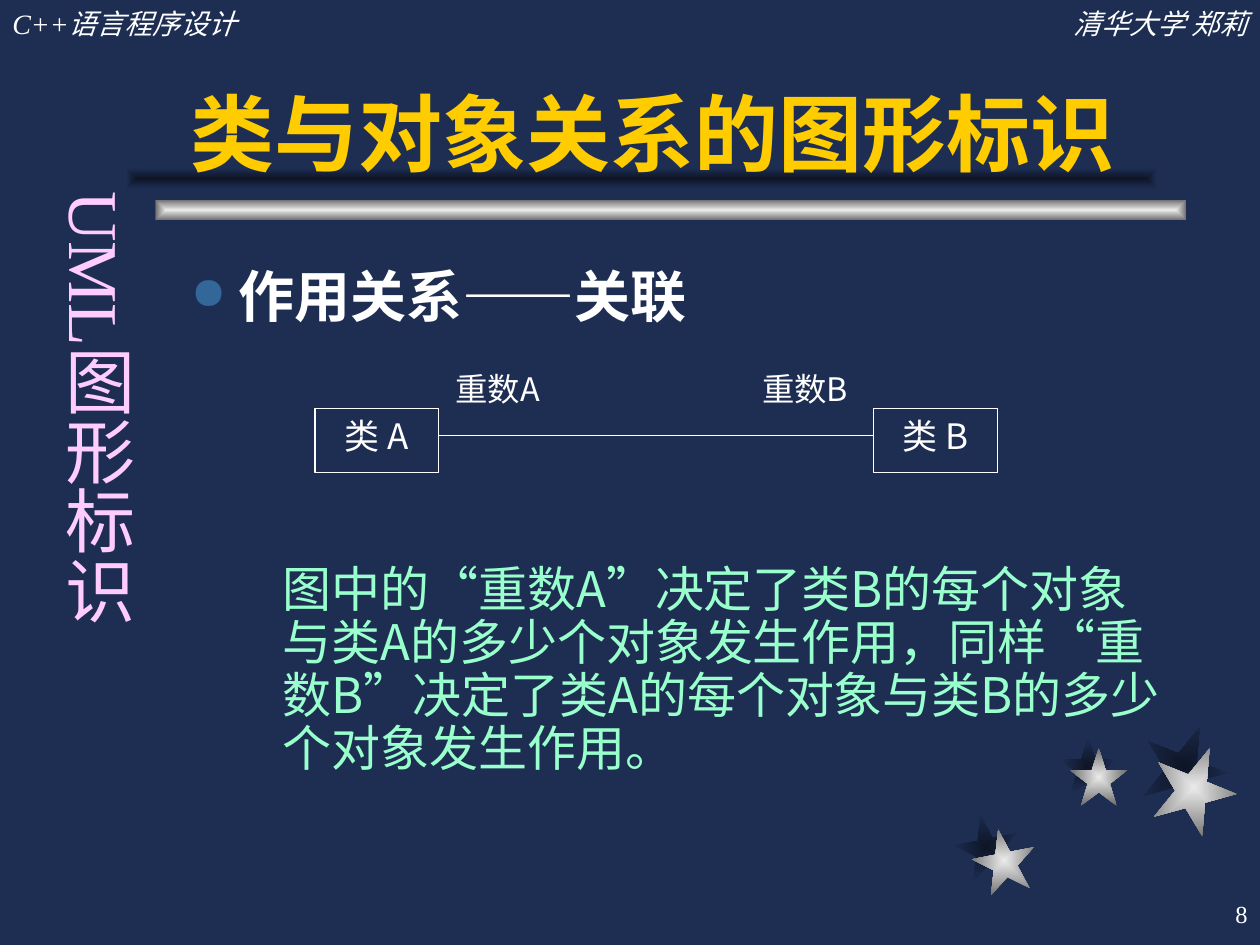
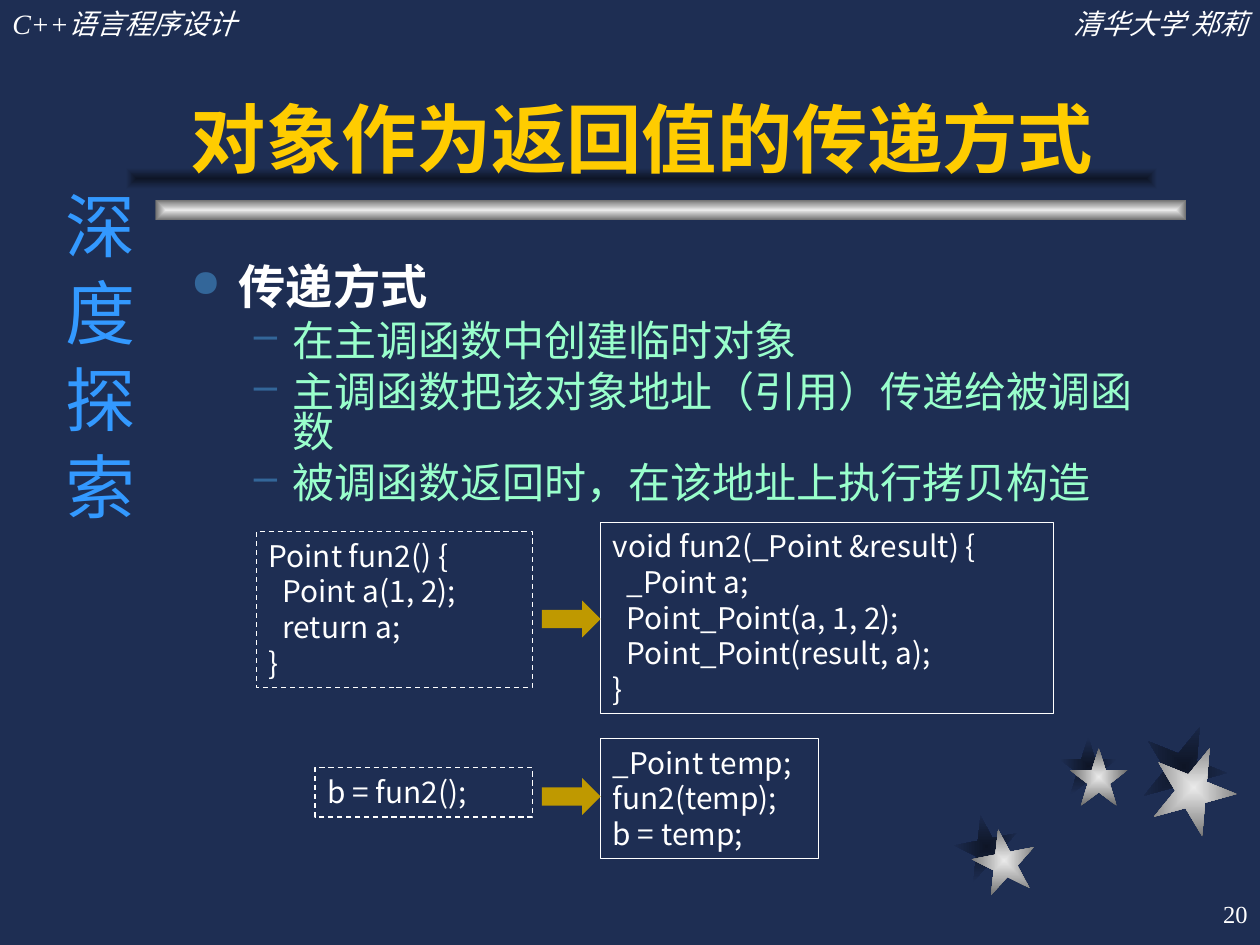
from dataclasses import dataclass

from lxml.etree import SubElement
from pptx import Presentation
from pptx.dml.color import RGBColor
from pptx.enum.dml import MSO_LINE
from pptx.enum.shapes import MSO_CONNECTOR, MSO_SHAPE
from pptx.enum.text import MSO_ANCHOR, PP_ALIGN
from pptx.oxml.ns import qn
from pptx.util import Inches, Pt


@dataclass(frozen=True)
class Theme:
    navy: str = "1E2E53"
    night: str = "0E1526"
    silver: str = "EAEAEA"
    grey: str = "6C6C6C"
    white: str = "FFFFFF"
    gold: str = "FFCC00"
    mint: str = "99FFCC"
    mark: str = "336699"
    arrow: str = "BF9900"
    pink: str = "FFCCFF"
    blue: str = "3399FF"
    sans: str = "Arial"
    serif: str = "Times New Roman"
    hans: str = "Noto Sans CJK SC"
    side: float = 40
    band: float = 16
    page: float = 14
    name: float = 20
    count: float = 18.5
    code: float = 17


T = Theme()
RGB = RGBColor.from_string

deck = Presentation()
deck.slide_width, deck.slide_height = Inches(10), Inches(7.5)
CELL = deck.slide_width / 120  # grid of 120 columns by 90 rows


def grid(*cells):
    return [round(n * CELL) for n in cells]


def put(slide, text, area, size=18, color=T.white, font=T.hans, bold=False,
        italic=False, align=PP_ALIGN.LEFT, anchor=MSO_ANCHOR.TOP, lead=None,
        before=0, left=0, hang=0, bullet=None, scale=100, edge=None,
        dash=False, upright=False):
    """Add a text box, outlined if edge is set; a line may be (text, overrides)."""
    if edge:
        box = slide.shapes.add_shape(MSO_SHAPE.RECTANGLE, *grid(*area))
        box.shadow.inherit = False
        box.fill.background()
        box.line.color.rgb = RGB(T.white)
        box.line.width = Pt(edge)
        if dash:
            box.line.dash_style = MSO_LINE.DASH
    else:
        box = slide.shapes.add_textbox(*grid(*area))
    frame = box.text_frame
    frame.word_wrap = True
    frame.vertical_anchor = anchor
    if upright:
        frame._txBody.bodyPr.set("vert", "eaVert")
        frame.margin_left = frame.margin_right = Inches(0.05)
        frame.margin_top = frame.margin_bottom = Inches(0.1)
    base = dict(size=size, color=color, bold=bold, lead=lead, before=before,
                left=left, hang=hang, bullet=bullet, scale=scale)
    for i, line in enumerate([text] if isinstance(text, str) else text):
        words, own = (line, {}) if isinstance(line, str) else line
        look = base | own
        para = frame.add_paragraph() if i else frame.paragraphs[0]
        para.alignment = align
        para.space_before = Pt(look["before"])
        if look["lead"]:
            para.line_spacing = look["lead"]
        props = para._p.get_or_add_pPr()
        props.set("marL", str(Inches(look["left"])))
        props.set("indent", str(-Inches(look["hang"])))
        if look["bullet"]:
            tint = SubElement(props, qn("a:buClr"))
            SubElement(tint, qn("a:srgbClr"), val=T.mark)
            SubElement(props, qn("a:buSzPct"), val=str(look["scale"] * 1000))
            SubElement(props, qn("a:buChar"), char=look["bullet"])
        run = para.add_run()
        run.text = words
        run.font.name = font
        run.font.size = Pt(look["size"])
        run.font.bold, run.font.italic = look["bold"], italic
        run.font.color.rgb = RGB(look["color"])
        SubElement(run._r.get_or_add_rPr(), qn("a:ea"), typeface=T.hans)


def glow(slide, kind, area, inner, outer, turn=0):
    """Add a shape whose colour runs from its centre to its edges."""
    shape = slide.shapes.add_shape(kind, *grid(*area))
    shape.shadow.inherit = False
    shape.line.fill.background()
    shape.rotation = turn
    shape.fill.gradient()
    for stop, tone in zip(shape.fill.gradient_stops, (inner, outer)):
        stop.color.rgb = RGB(tone)
    grad = shape._element.spPr.find(qn("a:gradFill"))
    grad.remove(grad.find(qn("a:lin")))
    ring = SubElement(grad, qn("a:path"), {"path": "rect"})
    SubElement(ring, qn("a:fillToRect"), l="50000", t="50000", r="50000", b="50000")


# Shared frame: stars, bars, header, title, side label, page number
SHADE, METAL = (T.night, T.navy), (T.silver, T.grey)
STARS = [  # size, turn, shadow place, metal place
    (6, 349, (90.96, 77.64), (92.64, 78.96)),
    (5.5, 0, (100.9, 70.2), (101.9, 71.25)),
    (8, 22, (108.75, 69), (109.7, 71)),
]
PAGES = [
    ("类与对象关系的图形标识", 48, "UML图形标识", T.pink, "8"),
    ("对象作为返回值的传递方式", 43, "深 度 探 索", T.blue, "20"),
]
slides = []
for title, size, label, tint, page in PAGES:
    slide = deck.slides.add_slide(deck.slide_layouts[6])
    slide.background.fill.solid()
    slide.background.fill.fore_color.rgb = RGB(T.navy)
    for tone, layer in ((SHADE, 2), (METAL, 3)):
        for star in STARS:
            side, turn = star[:2]
            glow(slide, MSO_SHAPE.STAR_5_POINT, (*star[layer], side, side), *tone, turn)
    for place, tone in (((14.8, 19), METAL), ((12, 16), SHADE)):
        glow(slide, MSO_SHAPE.RECTANGLE, (*place, 98.2, 2), *tone)
    for words, col, align in (("C++语言程序设计", 0, PP_ALIGN.LEFT),
                              ("清华大学 郑莉", 83, PP_ALIGN.RIGHT)):
        put(slide, words, (col, 0, 37, 4.4), size=T.band, font=T.serif,
            italic=True, align=align, before=10)
    put(slide, title, (17, 3, 94, 15), size=size, color=T.gold, font=T.sans,
        bold=True, anchor=MSO_ANCHOR.BOTTOM)
    put(slide, label, (3.6, 17, 10.3, 62), size=T.side, color=tint,
        font=T.serif, align=PP_ALIGN.CENTER, upright=True)
    put(slide, page, (95, 84, 25, 6), size=T.page, font=T.serif,
        align=PP_ALIGN.RIGHT, anchor=MSO_ANCHOR.MIDDLE)
    slides.append(slide)
link, back = slides

# Association between two classes
head = dict(bold=True, left=0.38, hang=0.38, bullet="●", scale=80)
note = ("图中的“重数A”决定了类B的每个对象与类A的多少个对象发生作用，"
        "同样“重数B”决定了类A的每个对象与类B的多少个对象发生作用。")
put(link, [("作用关系——关联", head | dict(size=32, before=8)),
           (note, dict(size=28, color=T.mint, left=0.73, before=135))],
    (17, 25, 95, 54), lead=0.9)
WIDE = 11.8
for name, col, spot in (("A", 30, 42.2), ("B", 83.2, 71.4)):
    put(link, f"类 {name}", (col, 38.9, WIDE, 6.1), size=T.name,
        align=PP_ALIGN.CENTER, edge=0.75)
    put(link, f"重数{name}", (spot, 35, WIDE, 6.5), size=T.count, lead=0.9)
wire = link.shapes.add_connector(MSO_CONNECTOR.STRAIGHT, *grid(30 + WIDE, 41.5, 83.2, 41.5))
wire.line.color.rgb = RGB(T.white)
wire.line.width = Pt(0.75)
SubElement(wire._element.spPr, qn("a:effectLst"))

# How an object is returned
steps = ["在主调函数中创建临时对象", "主调函数把该对象地址（引用）传递给被调函数",
         "被调函数返回时，在该地址上执行拷贝构造"]
item = dict(size=24, color=T.mint, left=0.81, hang=0.31, bullet="–", before=6)
put(back, [("传递方式", head | dict(size=27, before=6.8))] + [(s, item) for s in steps],
    (17, 25, 95, 24.7), font=T.sans, lead=0.8)

inset = dict(left=0.11)
CODE = [  # area, dashed, lines
    ((24.4, 50.6, 26.3, 14.9), True,
     ["Point fun2() {", ("Point a(1, 2);", inset), ("return a;", inset), "}"]),
    ((57.2, 49.7, 43.1, 18.2), False,
     ["void fun2(_Point &result) {", ("_Point a;", inset),
      ("Point_Point(a, 1, 2);", inset), ("Point_Point(result, a);", inset), "}"]),
    ((30, 73.1, 20.7, 4.7), True, ["b = fun2();"]),
    ((57.2, 70.3, 20.7, 11.4), False, ["_Point temp;", "fun2(temp);", "b = temp;"]),
]
for area, dash, lines in CODE:
    put(back, lines, area, size=T.code, edge=0.75 if dash else 0.25, dash=dash)
for row in (57.2, 74.1):
    arrow = back.shapes.add_shape(MSO_SHAPE.RIGHT_ARROW, *grid(51.6, row, 5.6, 3.5))
    arrow.shadow.inherit = False
    arrow.fill.solid()
    arrow.fill.fore_color.rgb = RGB(T.arrow)
    arrow.line.fill.background()

deck.save("out.pptx")
